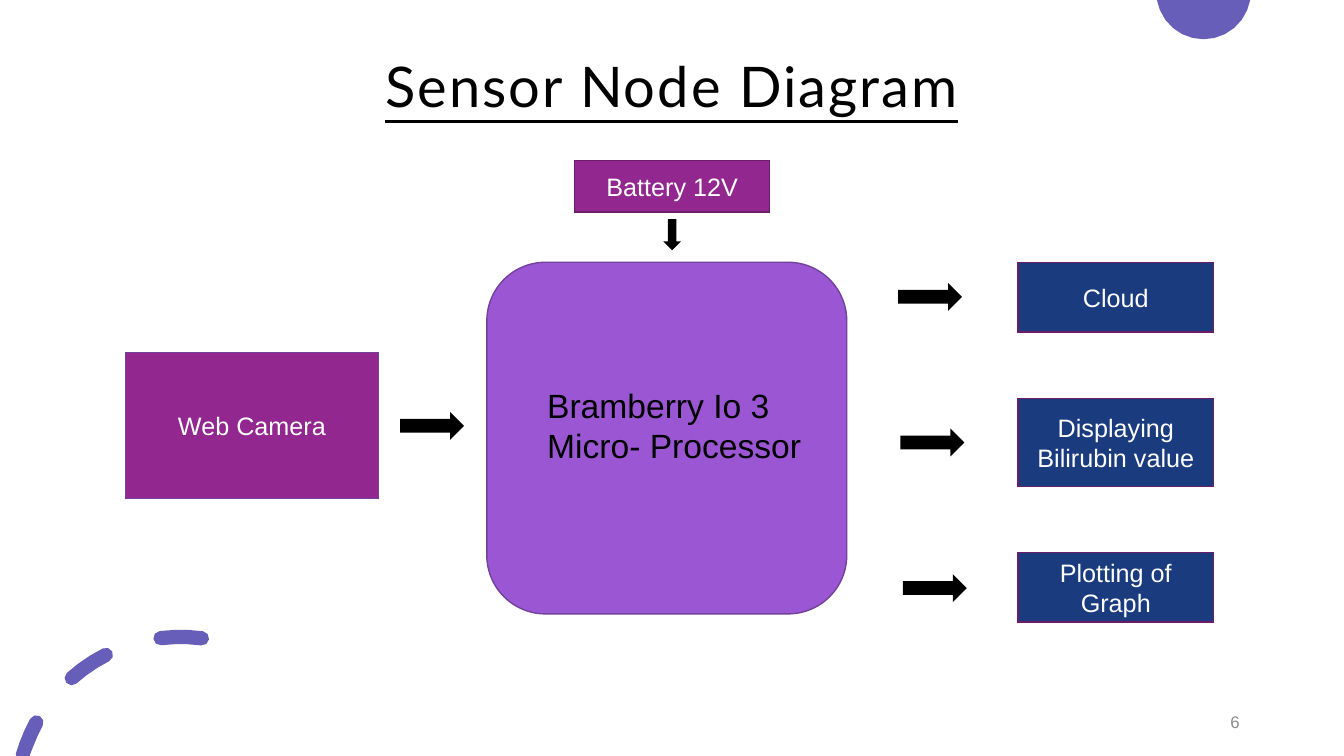
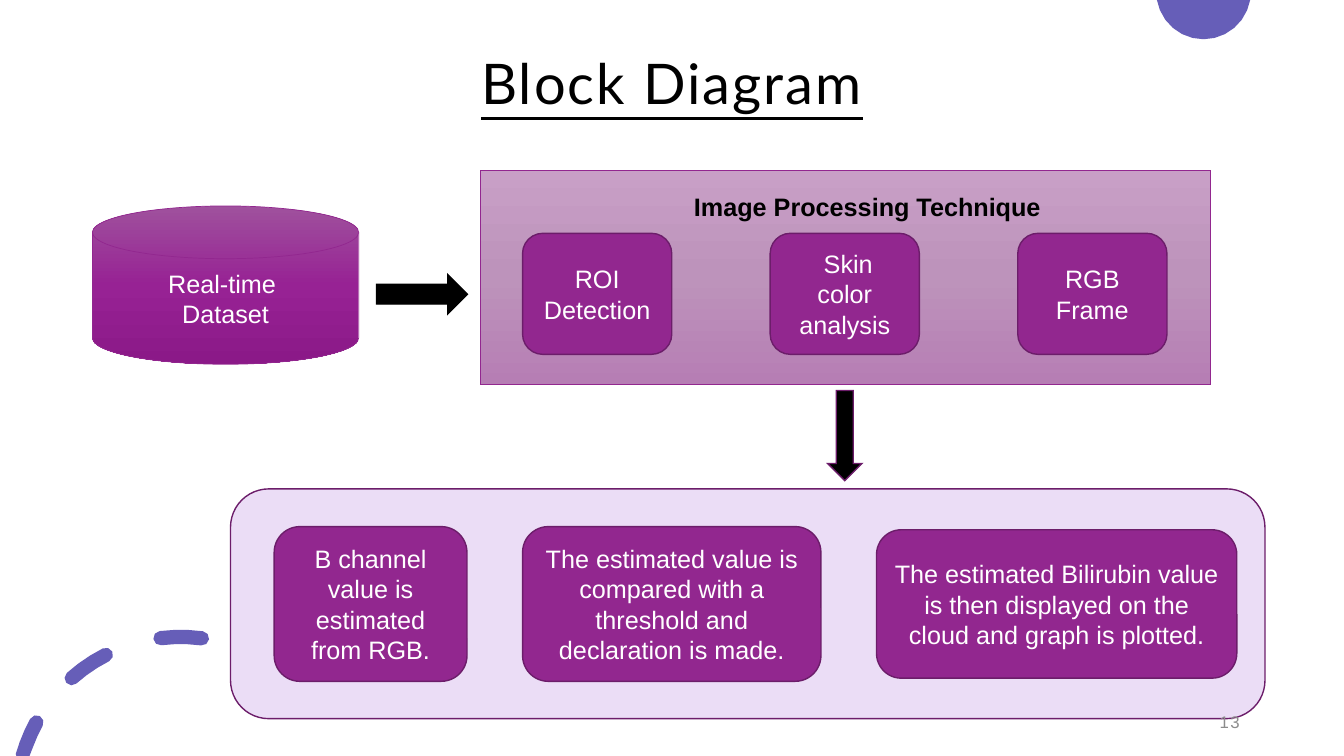
import copy
import math

from lxml import etree
from pptx import Presentation
from pptx import util as u
from pptx.dml.color import RGBColor
from pptx.enum import shapes, text
from pptx.oxml.ns import qn

COLORS = {
    "accent": "665EB8",
    "black": "000000",
    "white": "FFFFFF",
    "grey": "8C8C8C",
    "plum": "92278F",
    "plum_edge": "6C1D6A",
    "violet": "9B57D3",
    "violet_edge": "73409C",
    "navy": "1B3B7F",
    "lilac": "EBDDF6",
    "panel_top": "C89FC6",
    "panel_mid": "BD93BB",
    "panel_low": "B67EB4",
    "disk_top": "9F519D",
    "disk_mid": "972294",
    "disk_low": "8B1988",
}
RGB = {name: RGBColor.from_string(value) for name, value in COLORS.items()}
KIND = shapes.MSO_SHAPE
ALIGN = text.PP_ALIGN
ANCHOR = text.MSO_ANCHOR
WIDTH, HEIGHT = 33.87, 19.05


def add_block(slide, box, words="", kind=None, fill=None, edge=None, edge_width=1,
              size=18, font="Arial", color="white", bold=None, underline=None,
              align=ALIGN.CENTER, anchor=ANCHOR.MIDDLE, insets=None,
              tracking=None, leading=None):
    place = [u.Cm(value) for value in box]
    if kind is None:
        block = slide.shapes.add_textbox(*place)
    else:
        block = slide.shapes.add_shape(kind, *place)
        block.shadow.inherit = False
        block.line.color.rgb = RGB[edge]
        block.line.width = u.Pt(edge_width)
        outline = block._element.spPr.find(qn("a:ln"))
        etree.SubElement(outline, qn("a:miter")).set("lim", "800000")
        if isinstance(fill, tuple):
            block.fill.gradient()
            block.fill.gradient_angle = 270
            stops = block._element.spPr.find(".//" + qn("a:gsLst"))
            stops.insert(1, copy.deepcopy(stops[0]))
            for stop, name, position in zip(block.fill.gradient_stops, fill, (0, 0.5, 1)):
                stop.color.rgb = RGB[name]
                stop.position = position
        else:
            block.fill.solid()
            block.fill.fore_color.rgb = RGB[fill]
    if not words:
        return
    frame = block.text_frame
    frame.word_wrap = True
    frame.vertical_anchor = anchor
    if insets:
        (frame.margin_left, frame.margin_top,
         frame.margin_right, frame.margin_bottom) = [u.Cm(value) for value in insets]
    frame.text = words
    for paragraph in frame.paragraphs:
        paragraph.alignment = align
        if leading:
            paragraph.line_spacing = leading
        for run in paragraph.runs:
            run.font.name = font
            run.font.size = u.Pt(size)
            run.font.bold = bold
            run.font.underline = underline
            run.font.color.rgb = RGB[color]
            if tracking:
                run.font._element.set("spc", str(tracking))


def arc(center, radius, start, end, steps):
    points = []
    for step in range(steps + 1):
        angle = math.radians(start + (end - start) * step / steps)
        points.append((center[0] + radius * math.sin(angle),
                       min(max(center[1] - radius * math.cos(angle), 0), HEIGHT)))
    return points


half_disc = [arc((30.33, -0.2), 1.19, 99, 261, 12)]
ring, ring_radius, half_band = (4.55, 20.19), 4.14, 0.18
dashes = []
for start, end in ((-74, -61.3), (-41.5, -27), (-7, 7.5)):
    tail, head = arc(ring, ring_radius, start, end, 1)
    dashes.append(arc(ring, ring_radius + half_band, start, end, 3)
                  + arc(head, half_band, end + 45, end + 135, 2)
                  + arc(ring, ring_radius - half_band, end, start, 3)
                  + arc(tail, half_band, start + 225, start + 315, 2))

deck = Presentation()
deck.slide_width = u.Cm(WIDTH)
deck.slide_height = u.Cm(HEIGHT)
blank = deck.slide_layouts[6]

FRAME_INSETS = (0.3, 0.3, 0.3, 0.25)
PLUM = dict(fill="plum", edge="plum_edge")
NAVY = dict(fill="navy", edge="plum_edge")
ARROW = dict(fill="black", edge="black")

for heading, heading_top in (("Sensor Node Diagram", 0.38), ("Block Diagram", 0.3)):
    slide = deck.slides.add_slide(blank)
    for contours in (half_disc, dashes):
        builder = None
        for contour in contours:
            points = [(u.Cm(x), u.Cm(y)) for x, y in contour]
            if builder is None:
                builder = slide.shapes.build_freeform(*points[0])
            else:
                builder.move_to(*points[0])
            builder.add_line_segments(points[1:], close=True)
        ornament = builder.convert_to_shape()
        ornament.shadow.inherit = False
        ornament.fill.solid()
        ornament.fill.fore_color.rgb = RGB["accent"]
        ornament.line.fill.background()
    add_block(slide, (2.33, heading_top, 29.21, 3.68), heading, size=40, font="Lato",
              color="black", underline=True, insets=FRAME_INSETS, tracking=150, leading=0.9)

sensor_node, block_diagram = deck.slides

add_block(sensor_node, (12.27, 6.61, 9.07, 8.86), kind=KIND.ROUNDED_RECTANGLE,
          fill="violet", edge="violet_edge")
add_block(sensor_node, (13.54, 9.57, 7.24, 2.31), "Bramberry Io 3\nMicro- Processor",
          size=24, color="black", align=ALIGN.LEFT, anchor=ANCHOR.TOP)
add_block(sensor_node, (14.48, 4.04, 4.92, 1.3), "Battery 12V", KIND.RECTANGLE, **PLUM)
add_block(sensor_node, (3.16, 8.89, 6.38, 3.67), "Web Camera", KIND.RECTANGLE,
          fill="plum", edge="violet_edge")
add_block(sensor_node, (16.76, 5.54, 0.36, 0.74), kind=KIND.DOWN_ARROW, **ARROW)
add_block(sensor_node, (10.1, 10.42, 1.57, 0.62), kind=KIND.RIGHT_ARROW, **ARROW)

outputs = (
    ("Cloud", KIND.RECTANGLE, 6.62, 1.75),
    ("Displaying Bilirubin value", KIND.FLOWCHART_PROCESS, 10.05, 2.21),
    ("Plotting of Graph", KIND.RECTANGLE, 13.93, 1.75),
)
for index, (output, kind, top, height) in enumerate(outputs):
    add_block(sensor_node, (25.66, top, 4.92, height), output, kind, **NAVY)
    add_block(sensor_node, (22.65 + 0.06 * index, 7.17 + 3.67 * index, 1.57, 0.62),
              kind=KIND.RIGHT_ARROW, **ARROW)

add_block(block_diagram, (2.33, 5.19, 6.71, 3.99), "Real-time \nDataset",
          KIND.FLOWCHART_MAGNETIC_DISK, fill=("disk_top", "disk_mid", "disk_low"),
          edge="plum", edge_width=0.5)
add_block(block_diagram, (9.49, 6.92, 2.29, 0.99), kind=KIND.RIGHT_ARROW, **ARROW)
add_block(block_diagram, (12.11, 4.29, 18.39, 5.39), kind=KIND.RECTANGLE,
          fill=("panel_top", "panel_mid", "panel_low"), edge="plum", edge_width=0.5)
add_block(block_diagram, (17.24, 4.7, 10.06, 1.02), "Image Processing Technique",
          color="black", bold=True, align=ALIGN.LEFT, anchor=ANCHOR.TOP)
for index, technique in enumerate(("ROI Detection", " Skin color analysis", "RGB Frame")):
    add_block(block_diagram, (13.17 + 6.24 * index, 5.88, 3.76, 3.05), technique,
              KIND.ROUNDED_RECTANGLE, **PLUM)

add_block(block_diagram, (20.86, 9.84, 0.86, 2.27), kind=KIND.DOWN_ARROW,
          fill="black", edge="plum_edge")
add_block(block_diagram, (5.81, 12.32, 26.07, 5.79), kind=KIND.ROUNDED_RECTANGLE,
          fill="lilac", edge="plum_edge")
results = (
    ("The estimated Bilirubin value is then displayed on the cloud and graph is plotted.",
     (22.09, 13.35, 9.08, 3.74)),
    ("B channel value is estimated from RGB.", (6.91, 13.27, 4.86, 3.9)),
    ("The estimated value is compared with a threshold and declaration is made.",
     (13.17, 13.27, 7.52, 3.9)),
)
for result, box in results:
    add_block(block_diagram, box, result, KIND.ROUNDED_RECTANGLE, **PLUM)

for slide, number in ((sensor_node, "6"), (block_diagram, "13")):
    add_block(slide, (23.92, 17.65, 7.62, 1.02), number, size=12, color="grey",
              align=ALIGN.RIGHT, insets=FRAME_INSETS, tracking=100)

deck.save("out.pptx")
